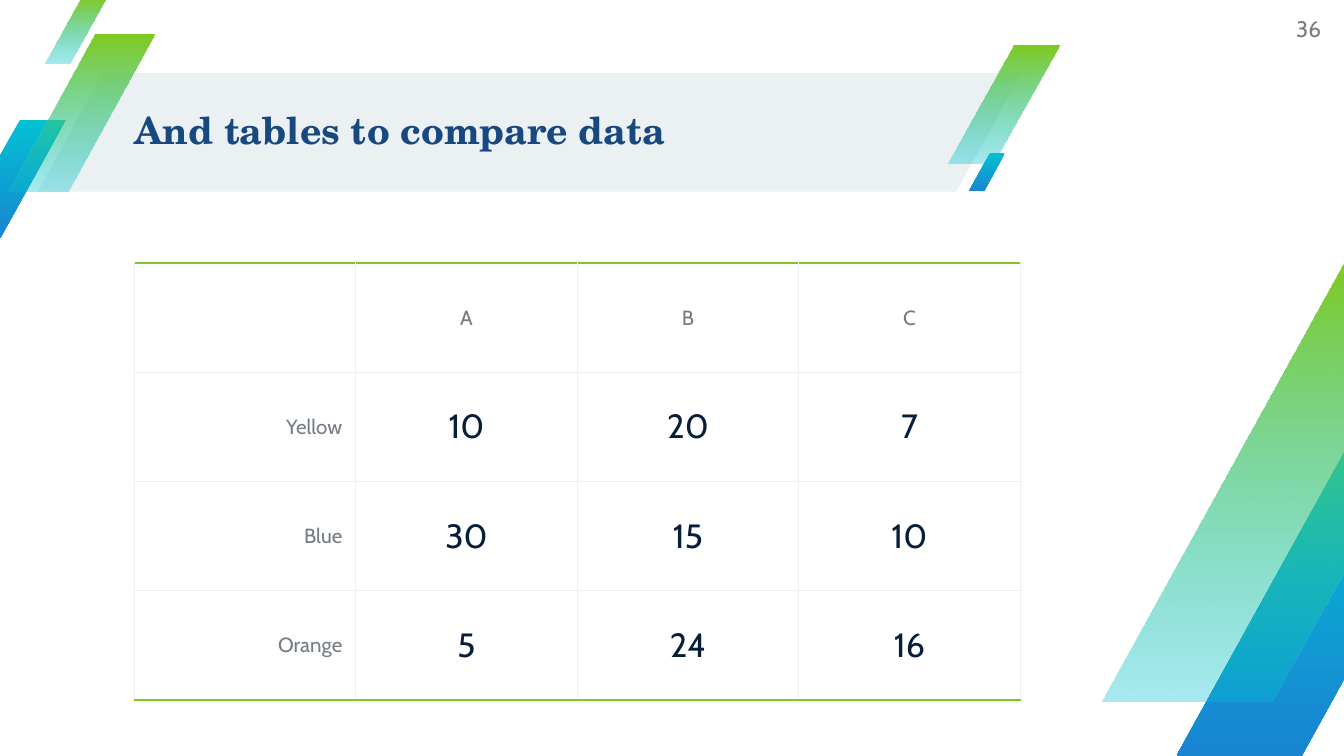
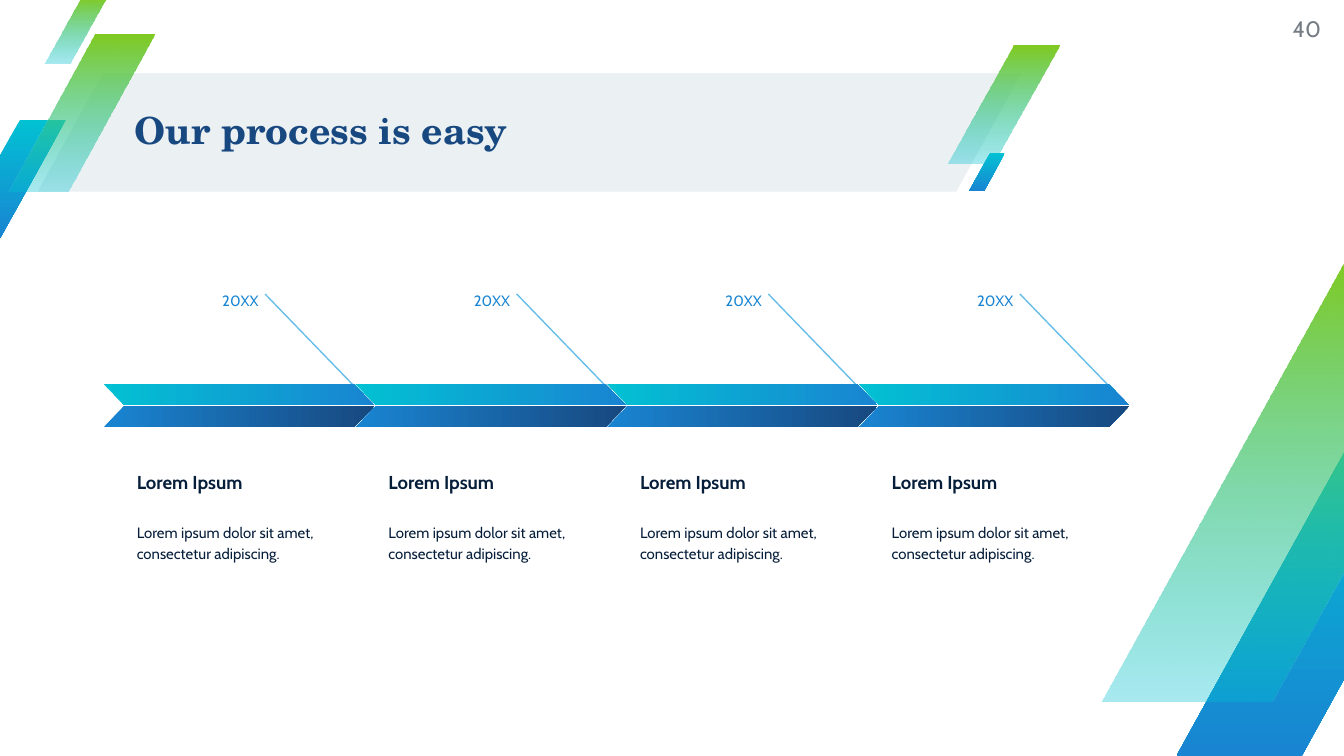
"""Build two slides: a comparison table and a four-step process."""
from dataclasses import dataclass

from lxml import etree
from pptx import Presentation
from pptx import util as u
from pptx.dml import color
from pptx.enum import shapes, text
from pptx.oxml import ns


@dataclass(frozen=True)
class Theme:
    """Colours, fonts and type sizes."""
    navy: str = "184880"
    ink: str = "061E3A"
    grey: str = "757C83"
    pale: str = "EBF0F3"
    green: str = "7FCA20"
    teal: str = "02C1D3"
    blue: str = "1985D2"
    sky: str = "66BDE8"
    title_font: str = "TeX Gyre Schola"
    body_font: str = "Cabin"
    title_size: float = 20
    number_size: float = 12
    value_size: float = 18
    label_size: float = 11
    heading_size: float = 10
    small_size: float = 8


@dataclass(frozen=True)
class Box:
    """A rectangle in points."""
    left: float
    top: float
    width: float
    height: float

    def inner(self, left, top, width, height):
        """Return a box whose offsets count from this one."""
        return Box(self.left + left, self.top + top, width, height)

    def lengths(self):
        """Return left, top, width and height as lengths."""
        return [u.Pt(value) for value in (self.left, self.top, self.width, self.height)]


THEME = Theme()
ALIGN = text.PP_ALIGN
ANCHOR = text.MSO_ANCHOR
SLIDE = Box(0, 0, 720, 405)
BANNER = Box(20.2, 39.2, 527, 63.4)
CORNER = Box(590, 138, 223, 267)
TITLE = Box(72, 39, 474.5, 64)
NUMBER = Box(674, 0, 33.8, 31)
TABLE = Box(72, 141, 474.6, 234)
PROCESS = Box(55.6, 147.6, 539.2, 183)
LEAN = 0.59
DOWN, ACROSS = 270, 0
FADE = (THEME.green, THEME.teal, DOWN, 34)
DEEP = (THEME.teal, THEME.blue, DOWN)


def rgb(value):
    """Turn a hex string into a colour."""
    return color.RGBColor.from_string(value)


def add_run(paragraph, words, size, hue, font=THEME.body_font, bold=False):
    """Add one formatted run to a paragraph."""
    run = paragraph.add_run()
    run.text = words
    run.font.name, run.font.size, run.font.bold = font, u.Pt(size), bold
    run.font.color.rgb = rgb(hue)


def set_frame(frame, anchor, inset):
    """Set wrapping, anchor and equal insets of a text frame."""
    frame.word_wrap = True
    frame.auto_size = text.MSO_AUTO_SIZE.NONE
    frame.vertical_anchor = anchor
    frame.margin_left = frame.margin_right = u.Pt(inset)
    frame.margin_top = frame.margin_bottom = u.Pt(inset)


def add_text(parent, box, words, size, hue, align=ALIGN.LEFT, anchor=ANCHOR.TOP,
             inset=7.2, spacing=1.15, after=0, bold=False):
    """Add a text box holding one paragraph."""
    frame = parent.add_textbox(*box.lengths()).text_frame
    set_frame(frame, anchor, inset)
    paragraph = frame.paragraphs[0]
    paragraph.alignment = align
    paragraph.line_spacing = spacing
    paragraph.space_after = u.Pt(after)
    add_run(paragraph, words, size, hue, bold=bold)


def add_stripe(parent, box, lean):
    """Add a borderless parallelogram."""
    shape = parent.add_shape(shapes.MSO_SHAPE.PARALLELOGRAM, *box.lengths())
    shape.adjustments[0] = lean
    shape.shadow.inherit = False
    shape.line.fill.background()
    return shape


def fill_gradient(shape, start, end, angle, end_opacity=100):
    """Fill a shape with a two-colour gradient."""
    shape.fill.gradient()
    shape.fill.gradient_angle = angle
    for stop, hue in zip(shape.fill.gradient_stops, (start, end)):
        stop.color.rgb = rgb(hue)
    if end_opacity < 100:
        last = shape.element.xpath(".//a:gs/a:srgbClr")[-1]
        etree.SubElement(last, ns.qn("a:alpha"), val=str(end_opacity * 1000))


def add_banner(parent, box):
    """Draw the title band with its slanted stripes."""
    band = add_stripe(parent, box, 0.55)
    band.fill.solid()
    band.fill.fore_color.rgb = rgb(THEME.pale)
    for place, gradient in (
        ((-44.7, 25, 59.8, 63.4), DEEP),
        ((487.4, -15, 59.8, 63.4), FADE),
        ((-15.9, -20.8, 78.5, 84.2), FADE),
        ((3.6, -40.6, 33.1, 35.3), FADE),
        ((498.9, 42.6, 19.4, 20.8), DEEP),
    ):
        fill_gradient(add_stripe(parent, box.inner(*place), LEAN), *gradient)


def add_corner(parent, box):
    """Draw the two large stripes at the lower right."""
    for place, gradient in (
        ((40.3, 92.5, 163.4, 174.5), DEEP),
        ((0, 0, 223, 237.6), FADE),
    ):
        fill_gradient(add_stripe(parent, box.inner(*place), LEAN), *gradient)


def move_backdrop(slide):
    """Draw the shared decoration and hand it to the slide's layout."""
    layout = slide.slide_layout
    for placeholder in list(layout.placeholders)[1:]:
        placeholder.element.getparent().remove(placeholder.element)
    groups = [slide.shapes.add_group_shape() for _ in range(2)]
    add_banner(groups[0].shapes, BANNER)
    add_corner(groups[1].shapes, CORNER)
    for group in groups:
        layout.shapes.element.append(group.element)


def add_heading(slide, box, words, number):
    """Fill the title placeholder and add the slide number."""
    title = slide.shapes.title
    title.left, title.top, title.width, title.height = box.lengths()
    set_frame(title.text_frame, ANCHOR.MIDDLE, 0)
    paragraph = title.text_frame.paragraphs[0]
    paragraph.alignment = ALIGN.LEFT
    paragraph.line_spacing = 0.9
    add_run(paragraph, words, THEME.title_size, THEME.navy, THEME.title_font, True)
    add_text(slide.shapes, NUMBER, number, THEME.number_size, THEME.grey,
             ALIGN.RIGHT, ANCHOR.MIDDLE, inset=0, spacing=1)


def set_borders(cell, edges):
    """Draw cell borders from a mapping of side to colour and width."""
    properties = cell._tc.get_or_add_tcPr()
    for side in "LRTB":
        hue, width = edges.get(side, (THEME.pale, 0.75))
        line = etree.SubElement(properties, ns.qn(f"a:ln{side}"), w=str(u.Pt(width)))
        fill = etree.SubElement(line, ns.qn("a:solidFill"))
        etree.SubElement(fill, ns.qn("a:srgbClr"), val=hue)


def add_comparison(slide, box, rows):
    """Add the table with green rules above and below."""
    table = slide.shapes.add_table(len(rows), len(rows[0]), *box.lengths()).table
    table.first_row = table.horz_banding = False
    for column in table.columns:
        column.width = u.Pt(box.width / len(rows[0]))
    rule = (THEME.green, 1.5)
    for i, row in enumerate(rows):
        table.rows[i].height = u.Pt(box.height / len(rows))
        edges = {0: {"T": rule}, len(rows) - 1: {"B": rule}}.get(i, {})
        for j, words in enumerate(row):
            cell = table.cell(i, j)
            cell.vertical_anchor = ANCHOR.MIDDLE
            cell.margin_left = cell.margin_right = u.Pt(7.2)
            cell.margin_top = cell.margin_bottom = u.Pt(5)
            set_borders(cell, edges)
            cell.fill.background()
            if words:
                paragraph = cell.text_frame.paragraphs[0]
                paragraph.alignment = ALIGN.CENTER if j else ALIGN.RIGHT
                style = ((THEME.value_size, THEME.ink) if i and j
                         else (THEME.label_size, THEME.grey))
                add_run(paragraph, words, *style)


def add_step(parent, box, year, heading, details):
    """Draw one process step: year, pointer, chevron and wording."""
    add_text(parent, box.inner(41, 0, 49, 18.7), year, THEME.small_size,
             THEME.blue, ALIGN.RIGHT, after=16)
    add_text(parent, box.inner(10.6, 88.6, 118.8, 35.3), heading,
             THEME.heading_size, THEME.ink, anchor=ANCHOR.BOTTOM, bold=True)
    add_text(parent, box.inner(10.6, 124.5, 121.7, 58.3), details,
             THEME.small_size, THEME.ink, after=16)
    ends = [u.Pt(value) for value in (box.left + 86.4, box.top + 9.9,
                                      box.left + 143, box.top + 68.4)]
    pointer = parent.add_connector(shapes.MSO_CONNECTOR.STRAIGHT, *ends)
    pointer.line.color.rgb = rgb(THEME.sky)
    pointer.line.width = u.Pt(0.75)
    etree.SubElement(pointer.element.spPr, ns.qn("a:effectLst"))
    upper = add_stripe(parent, box.inner(0, 58.2, 144.9, 11.3), 0.97)
    fill_gradient(upper, THEME.teal, THEME.blue, ACROSS)
    upper.rotation = 180
    upper.element.spPr.find(ns.qn("a:xfrm")).set("flipH", "1")
    lower = add_stripe(parent, box.inner(0, 69.9, 144.9, 11.3), 0.97)
    fill_gradient(lower, THEME.blue, THEME.navy, ACROSS)


def add_process(slide, box, steps):
    """Lay the process steps out at an equal pitch."""
    pitch = box.width / len(steps)
    for index, step in enumerate(steps):
        group = slide.shapes.add_group_shape()
        add_step(group.shapes, box.inner(index * pitch, 0, pitch, box.height), *step)


def main():
    """Build and save the presentation."""
    presentation = Presentation()
    presentation.slide_width, presentation.slide_height = SLIDE.lengths()[2:]
    layout = presentation.slide_layouts.get_by_name("Title Only")

    table_slide = presentation.slides.add_slide(layout)
    move_backdrop(table_slide)
    add_heading(table_slide, TITLE, "And tables to compare data", "36")
    add_comparison(table_slide, TABLE, [
        ("", "A", "B", "C"),
        ("Yellow", "10", "20", "7"),
        ("Blue", "30", "15", "10"),
        ("Orange", "5", "24", "16"),
    ])

    process_slide = presentation.slides.add_slide(layout)
    add_heading(process_slide, TITLE, "Our process is easy", "40")
    step = ("20XX", "Lorem Ipsum",
            "Lorem ipsum dolor sit amet, consectetur adipiscing.")
    add_process(process_slide, PROCESS, [step] * 4)

    presentation.save("out.pptx")


if __name__ == "__main__":
    main()
